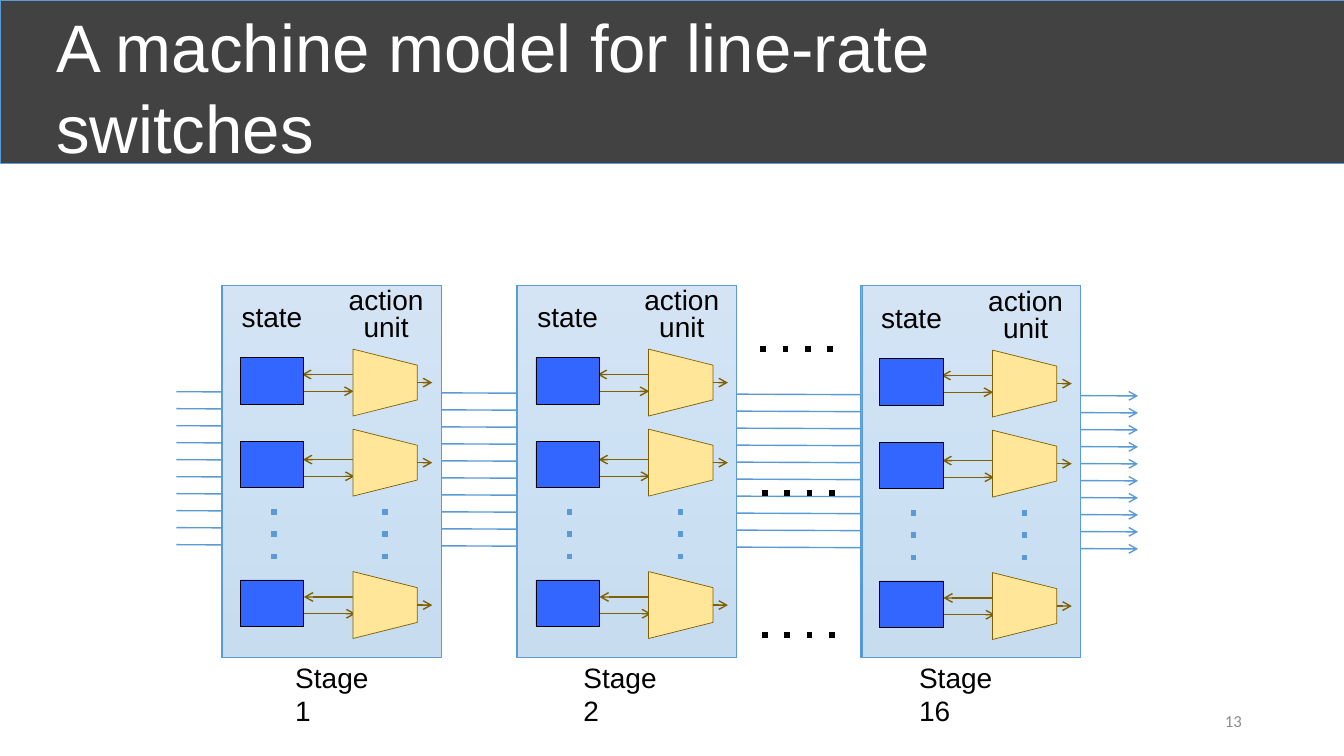
from copy import deepcopy

from lxml.etree import SubElement
from pptx import Presentation
from pptx.dml.color import RGBColor
from pptx.enum.shapes import MSO_CONNECTOR as CONNECTOR, MSO_SHAPE as SHAPE
from pptx.enum.text import MSO_ANCHOR as ANCHOR, PP_ALIGN as ALIGN
from pptx.oxml.ns import qn
from pptx.util import Pt

# Content
TITLE = "A machine model for line-rate switches"
PAGE_NUMBER = "13"
STATE, ACTION_UNIT = "state", "action unit"
# label, label left, label width, panel left, parts left, parts drop
STAGES = [
    ("Stage 1", 203.8, 74.2, 158.4, 158.6, 0),
    ("Stage 2", 409.7, 77, 368.9, 369.8, 0),
    ("Stage 16", 649.4, 85, 614.9, 615.4, 0.7),
]
# state top, action unit centre, arrow to the unit, arrow to the state
ROWS = [
    (255.5, 273.3, 279.5, 267.5),
    (315.4, 330.5, 340.2, 328.3),
    (414.3, 432.2, 438.4, 426.4),
]
# left and height of the dots between stages
GAP_DOTS = [(543, 249.1), (544.3, 453.6), (544.3, 352.1)]
BUS_LINES, BUS_TOP, BUS_STEP, BUS_DROP = 10, 279.8, 12.14, 3

# Colours
WHITE = RGBColor(0xFF, 0xFF, 0xFF)
BLACK = RGBColor(0x00, 0x00, 0x00)
CHARCOAL = RGBColor(0x42, 0x42, 0x42)
GREY = RGBColor(0x8C, 0x8C, 0x8C)
BLUE = RGBColor(0x5B, 0x9B, 0xD5)
STATE_BLUE = RGBColor(0x33, 0x66, 0xFF)
UNIT_YELLOW = RGBColor(0xFF, 0xE6, 0x99)
BROWN = RGBColor(0x80, 0x60, 0x00)
PANEL_STOPS = [
    (0, RGBColor(0x71, 0xA6, 0xDB)),
    (0.5, RGBColor(0x55, 0x9B, 0xDB)),
    (1, RGBColor(0x44, 0x8A, 0xCA)),
]

prs = Presentation()
prs.slide_width, prs.slide_height = Pt(960), Pt(540)
slide = prs.slides.add_slide(prs.slide_layouts[6])


def add_box(left, top, width, height, line, fill=None, kind=SHAPE.RECTANGLE):
    box = slide.shapes.add_shape(kind, Pt(left), Pt(top), Pt(width), Pt(height))
    box.shadow.inherit = False
    box.line.color.rgb = line
    box.line.width = Pt(0.5)
    if fill is not None:
        box.fill.solid()
        box.fill.fore_color.rgb = fill
    return box


def add_line(x1, y1, x2, y2, color, width=1, dotted=False, arrow=False):
    line = slide.shapes.add_connector(
        CONNECTOR.STRAIGHT, Pt(x1), Pt(y1), Pt(x2), Pt(y2))
    line.line.color.rgb = color
    line.line.width = Pt(width)
    ln = line.line._get_or_add_ln()
    if dotted:
        SubElement(ln, qn("a:prstDash"), val="dot")
    if arrow:
        SubElement(ln, qn("a:tailEnd"), type="arrow")
    SubElement(line._element.spPr, qn("a:effectLst"))


def add_text(text, left, top, width, height, size, color=BLACK, font="Arial",
             align=ALIGN.LEFT, anchor=ANCHOR.TOP, spacing=None, inset=(7.2, 3.6)):
    frame = slide.shapes.add_textbox(
        Pt(left), Pt(top), Pt(width), Pt(height)).text_frame
    frame.word_wrap = True
    frame.vertical_anchor = anchor
    frame.margin_left = frame.margin_right = Pt(inset[0])
    frame.margin_top = frame.margin_bottom = Pt(inset[1])
    paragraph = frame.paragraphs[0]
    paragraph.alignment = align
    if spacing:
        paragraph.line_spacing = spacing
    run = paragraph.add_run()
    run.text = text
    run.font.name, run.font.size = font, Pt(size)
    run.font.color.rgb = color


def add_panel(left):
    base = add_box(left, 203.8, 157, 265.7, BLUE)
    base.fill.gradient()
    base.fill.gradient_angle = 270
    stops = base._element.spPr.find(".//" + qn("a:gsLst"))
    stops.insert(1, deepcopy(stops[0]))
    for stop, (position, color) in zip(base.fill.gradient_stops, PANEL_STOPS):
        stop.position = position
        stop.color.rgb = color
    veil = add_box(left + 0.8, 203.8, 156.2, 265.7, BLUE, WHITE)
    veil_color = veil._element.spPr.find(qn("a:solidFill"))[0]
    SubElement(veil_color, qn("a:alpha"), val="70000")


def add_parts(left, drop):
    # Arrows start behind the state boxes and end behind the units
    for row, (state_top, unit_y, to_unit, to_state) in enumerate(ROWS):
        x = left + 0.7 * row
        add_line(x + 37.2, to_unit + drop, x + 94, to_unit + drop, BROWN, arrow=True)
        add_line(x + 99.2, to_state + drop, x + 57, to_state + drop, BROWN, arrow=True)
    for state_top, unit_y, *_ in ROWS:
        add_box(left + 13, state_top + drop, 45.4, 33.1, BLACK, STATE_BLUE)
        unit = add_box(left + 92.6, unit_y - 23 + drop, 47.8, 46, BROWN,
                       UNIT_YELLOW, SHAPE.TRAPEZOID)
        unit.rotation = 90
        add_line(left + 139.3, unit_y + drop, left + 150.2, unit_y + drop,
                 BROWN, arrow=True)
    for x in (37, 116.4):
        add_line(left + x, 363.6 + drop, left + x, 402.5 + drop, BLUE, 4, dotted=True)
    for text, x, top, width, height in ((STATE, -4.6, 213.5, 80.6, 30.2),
                                        (ACTION_UNIT, 78.3, 201.4, 77.8, 49.7)):
        add_text(text, left + x, top + drop, width, height, 20,
                 align=ALIGN.CENTER, spacing=0.8, inset=(10, 5))


# Header and page number
add_box(0, 0, 960, 116.6, BLUE, CHARCOAL)
add_text(TITLE, 33.1, 9.4, 828, 104.4, 48, WHITE, anchor=ANCHOR.MIDDLE)
add_text(PAGE_NUMBER, 678.2, 500.4, 216, 28.8, 12, GREY, "Calibri",
         ALIGN.RIGHT, ANCHOR.MIDDLE)

# Bus running behind all stages
for i in range(BUS_LINES):
    y = BUS_TOP + i * BUS_STEP
    add_line(126, y, 812.9, y + BUS_DROP, BLUE, arrow=True)
for x, y in GAP_DOTS:
    add_line(x, y, x + 62, y, BLACK, 4, dotted=True)

# Stages
for label, label_left, label_width, panel_left, parts_left, drop in STAGES:
    add_panel(panel_left)
    add_text(label, label_left, 468, label_width, 31.7, 20)
    add_parts(parts_left, drop)

prs.save("out.pptx")
